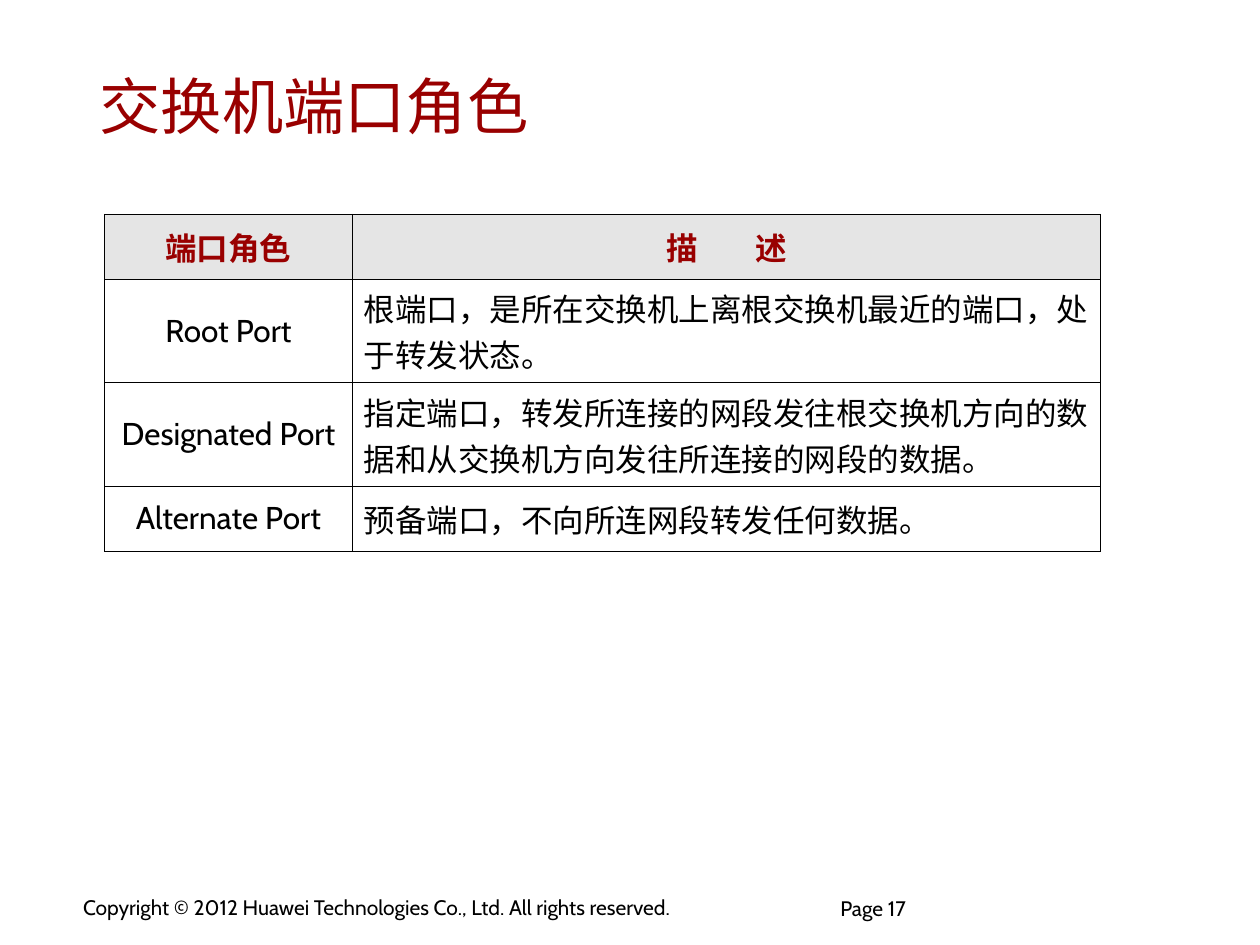
from lxml import etree
from pptx import Presentation
from pptx.dml.color import RGBColor
from pptx.enum.text import MSO_ANCHOR, MSO_AUTO_SIZE, PP_ALIGN
from pptx.oxml.ns import qn
from pptx.util import Pt

LEFT, CENTER = PP_ALIGN.LEFT, PP_ALIGN.CENTER
MIDDLE, TOP = MSO_ANCHOR.MIDDLE, MSO_ANCHOR.TOP
NO_FIT = MSO_AUTO_SIZE.NONE
FONT, RED, BLACK, GREY = "Cabin", "990000", "000000", "CCCCCC"

TITLE = "交换机端口角色"
COPYRIGHT = "Copyright © 2012 Huawei Technologies Co., Ltd. All rights reserved."
PAGE_NUMBER = "Page 17"
HEADER = ("端口角色", "描 述")
ROLES = [
    ("Root Port", "根端口，是所在交换机上离根交换机最近的端口，处于转发状态。"),
    ("Designated Port", "指定端口，转发所连接的网段发往根交换机方向的数据和从交换机方向发往所连接的网段的数据。"),
    ("Alternate Port", "预备端口，不向所连网段转发任何数据。"),
]
COLUMN_WIDTHS = (141.5, 427.7)
ROW_HEIGHTS = (37, 59.3, 59.3, 37)
WORD_GAP = 28.5


def color(value):
    """Return the colour for a hex string."""
    return RGBColor.from_string(value)


def set_font(paragraph, size, value, bold=False, align=LEFT):
    """Format a whole paragraph."""
    paragraph.alignment = align
    paragraph.font.name = FONT
    paragraph.font.size = Pt(size)
    paragraph.font.bold = bold
    paragraph.font.color.rgb = color(value)


def set_frame(frame, anchor, side, edge):
    """Set wrapping, anchor and insets of a text frame."""
    frame.word_wrap = True
    frame.auto_size = NO_FIT
    frame.vertical_anchor = anchor
    frame.margin_left = frame.margin_right = Pt(side)
    frame.margin_top = frame.margin_bottom = Pt(edge)


def add_label(page, text, place, side, edge, spacing):
    """Add a line of footer text."""
    box = page.shapes.add_textbox(*map(Pt, place))
    set_frame(box.text_frame, TOP, side, edge)
    para = box.text_frame.paragraphs[0]
    para.text = text
    para.line_spacing = spacing
    set_font(para, 12, BLACK)


def set_borders(cell):
    """Draw a thin black line on each side of a cell."""
    properties = cell._tc.get_or_add_tcPr()
    for index, side in enumerate(("a:lnL", "a:lnR", "a:lnT", "a:lnB")):
        line = etree.Element(qn(side), w=str(Pt(0.45)))
        fill = etree.SubElement(line, qn("a:solidFill"))
        etree.SubElement(fill, qn("a:srgbClr"), val=BLACK)
        properties.insert(index, line)


def fill_cell(cell, text, is_header, align):
    """Write and format one table cell."""
    cell.vertical_anchor = MIDDLE
    cell.margin_left = cell.margin_right = Pt(6.5)
    cell.margin_top = cell.margin_bottom = Pt(3.4)
    para = cell.text_frame.paragraphs[0]
    if is_header:
        for part in text.partition(" "):
            if part:
                span = para.add_run()
                span.text = part
                if part == " ":
                    span._r.get_or_add_rPr().set("spc", str(int(WORD_GAP * 100)))
        cell.fill.solid()
        cell.fill.fore_color.rgb = color(GREY)
        shade = cell._tc.tcPr.find(".//" + qn("a:srgbClr"))
        etree.SubElement(shade, qn("a:alpha"), val="50000")
    else:
        para.text = text
        cell.fill.background()
    set_font(para, 18, RED if is_header else BLACK, is_header, align)
    set_borders(cell)


def add_roles(page):
    """Add the table of port roles."""
    rows = [HEADER] + ROLES
    table = page.shapes.add_table(
        len(rows), len(HEADER), Pt(59.8), Pt(122.4),
        Pt(sum(COLUMN_WIDTHS)), Pt(sum(ROW_HEIGHTS))).table
    table.horz_banding = False
    for column, width in zip(table.columns, COLUMN_WIDTHS):
        column.width = Pt(width)
    for r, (texts, height) in enumerate(zip(rows, ROW_HEIGHTS)):
        table.rows[r].height = Pt(height)
        for c, text in enumerate(texts):
            align = CENTER if r == 0 or c == 0 else LEFT
            fill_cell(table.cell(r, c), text, r == 0, align)


def main():
    """Build the slide and save it."""
    deck = Presentation()
    deck.slide_width, deck.slide_height = Pt(720), Pt(540)
    page = deck.slides.add_slide(deck.slide_layouts[5])
    title = page.shapes.title
    title.left, title.top, title.width, title.height = map(Pt, (50.4, 26, 608.4, 68.4))
    title.text_frame.text = TITLE
    set_frame(title.text_frame, MIDDLE, 6.5, 3)
    set_font(title.text_frame.paragraphs[0], 35, RED)
    add_roles(page)
    add_label(page, COPYRIGHT, (41, 508.3, 401, 21), 6.5, 3, 1.0)
    add_label(page, PAGE_NUMBER, (480.2, 514, 119.5, 26), 0, 0, 0.85)
    deck.save("out.pptx")


if __name__ == "__main__":
    main()
